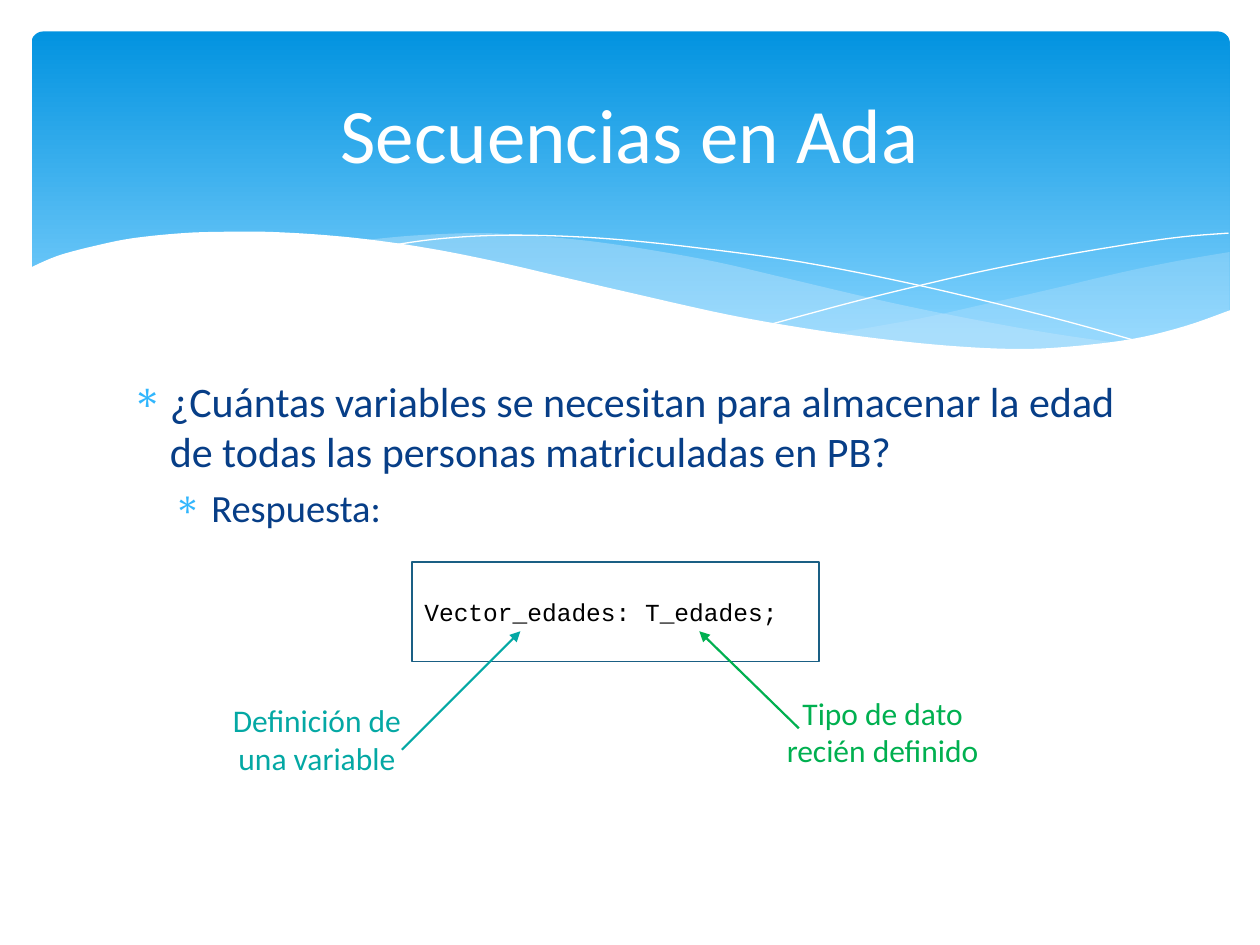
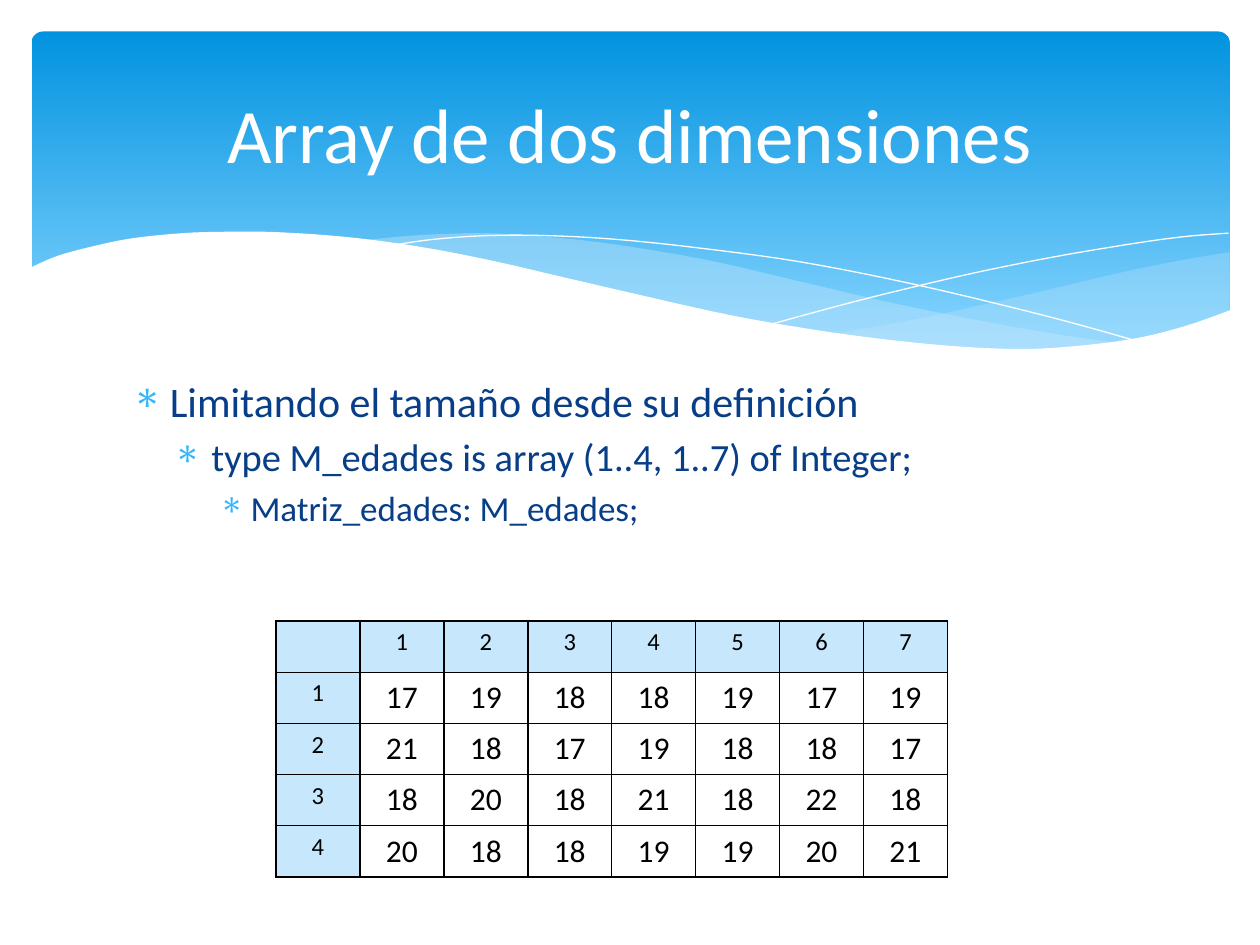
from dataclasses import dataclass

from lxml import etree
from pptx import Presentation
from pptx.dml.color import RGBColor
from pptx.enum.shapes import MSO_CONNECTOR, MSO_SHAPE
from pptx.enum.text import MSO_ANCHOR, PP_ALIGN
from pptx.oxml import parse_xml
from pptx.oxml.ns import nsdecls, qn
from pptx.util import Inches, Pt

STRAIGHT = MSO_CONNECTOR.STRAIGHT
RECT, ROUND_RECT = MSO_SHAPE.RECTANGLE, MSO_SHAPE.ROUNDED_RECTANGLE
TOP, MIDDLE = MSO_ANCHOR.TOP, MSO_ANCHOR.MIDDLE
LEFT, CENTER = PP_ALIGN.LEFT, PP_ALIGN.CENTER


@dataclass(frozen=True)
class Theme:
    font: str = "Calibri"
    code_font: str = "Courier New"
    white: str = "FFFFFF"
    black: str = "000000"
    band_top: str = "0293E0"
    band_bottom: str = "83D3FE"
    pale: str = "C6E7FC"
    body: str = "073E87"
    bullet: str = "31B6FD"
    box_line: str = "1A5F84"
    green: str = "00B050"
    teal: str = "04A8A4"
    title_size: int = 44
    level_sizes: tuple = (24, 22, 20)
    note_size: int = 18
    code_size: int = 14


T = Theme()

SEQUENCES = {
    "title": "Secuencias en Ada",
    "bullets": [
        (0, "¿Cuántas variables se necesitan para almacenar la edad de todas las personas matriculadas en PB?"),
        (1, "Respuesta:"),
    ],
    "code": "Vector_edades: T_edades;",
    "callouts": [
        {"text": "Tipo de dato recién definido", "box": (5.94, 5.48, 2.13, 0.65),
         "arrow": (6.34, 5.78, 5.55, 5.01), "color": T.green},
        {"text": "Definición de una variable", "box": (1.69, 5.54, 1.65, 0.65),
         "arrow": (3.19, 5.95, 4.13, 5.01), "color": T.teal},
    ],
}

MATRIX = {
    "title": "Array de dos dimensiones",
    "bullets": [
        (0, "Limitando el tamaño desde su definición"),
        (1, "type M_edades is array (1..4, 1..7) of Integer;"),
        (2, "Matriz_edades: M_edades;"),
    ],
    "ages": [
        (17, 19, 18, 18, 19, 17, 19),
        (21, 18, 17, 19, 18, 18, 17),
        (18, 20, 18, 21, 18, 22, 18),
        (20, 18, 18, 19, 19, 20, 21),
    ],
}

LEVEL_INDENTS = [(0.3, -0.3), (0.63, -0.3), (0.94, -0.25)]

WAVES = [
    {"curves": [
        [(9.76, 2), (9.35, 2.07), (8.91, 2.16), (8.32, 2.3), (7.79, 2.42), (7.29, 2.53), (6.61, 2.65)],
        [(6.61, 2.65), (7.05, 2.71), (7.57, 2.76), (8.14, 2.78), (8.63, 2.75), (9.13, 2.67), (9.76, 2.47)],
    ], "fill": T.pale, "alpha": 29},
    {"curves": [
        [(8.93, 2.73), (8.37, 2.65), (7.75, 2.54), (7.06, 2.4), (6.29, 2.22), (5.69, 2.08),
         (5.14, 1.98), (4.65, 1.91), (4.2, 1.87), (3.8, 1.85), (3.28, 1.87), (2.86, 1.91)],
        [(2.86, 1.91), (3.42, 1.99), (4.04, 2.11), (4.49, 2.22), (5.3, 2.4), (6.01, 2.55),
         (6.65, 2.66), (7.22, 2.74), (7.73, 2.77), (8.18, 2.78), (8.57, 2.77), (8.93, 2.73)],
    ], "fill": T.pale, "alpha": 40},
    {"curves": [
        [(3.09, 1.95), (3.44, 1.9), (3.87, 1.87), (4.33, 1.87), (4.89, 1.9), (5.56, 1.97),
         (6.36, 2.08), (7.27, 2.26), (8.31, 2.51), (9.07, 2.72)],
    ]},
    {"curves": [
        [(6.13, 2.57), (6.72, 2.41), (7.2, 2.29), (7.76, 2.16), (8.36, 2.04), (8.95, 1.94),
         (9.38, 1.88), (9.75, 1.85)],
    ]},
    {"curves": [
        [(9.77, 2.46), (9.4, 2.59), (8.99, 2.69), (8.5, 2.75), (8.09, 2.77), (7.61, 2.75),
         (7.08, 2.7), (6.48, 2.62), (5.79, 2.5), (5.03, 2.33), (4.47, 2.2), (3.91, 2.07),
         (3.4, 1.97), (2.92, 1.9), (2.5, 1.86), (2.11, 1.84), (1.77, 1.84), (1.46, 1.85),
         (1.06, 1.89), (0.76, 1.95), (0.46, 2.03), (0.23, 2.13)],
        [(0.23, 3.29), (9.77, 3.29)],
    ], "fill": T.white, "alpha": 100},
]


def rgb(color):
    return RGBColor.from_string(color)


def box(*lengths):
    return [Inches(v) for v in lengths]


def smooth(knots, steps=5):
    ends = [knots[0], *knots, knots[-1]]
    points = [knots[0]]
    for a, b, c, d in zip(ends, ends[1:], ends[2:], ends[3:]):
        for i in range(1, steps + 1):
            t = i / steps
            points.append(tuple(
                q + t / 2 * (s - p + t * (2 * p - 5 * q + 4 * s - u + t * (3 * (q - s) + u - p)))
                for p, q, s, u in zip(a, b, c, d)))
    return points


def format_run(r, text, size, color, font=T.font):
    r.text = text
    for name, value in {"name": font, "size": Pt(size)}.items():
        setattr(r.font, name, value)
    r.font.color.rgb = rgb(color)


def set_frame(tf, anchor):
    margins = {"margin_left": 0.1, "margin_right": 0.1, "margin_top": 0.05, "margin_bottom": 0.05}
    for name, value in margins.items():
        setattr(tf, name, Inches(value))
    tf.word_wrap = True
    tf.vertical_anchor = anchor


def add_text(s, place, text, size, color):
    tf = s.shapes.add_textbox(*box(*place)).text_frame
    set_frame(tf, MIDDLE)
    p = tf.paragraphs[0]
    p.alignment = CENTER
    format_run(p.add_run(), text, size, color)


def add_band(s):
    sp = s.shapes.add_shape(ROUND_RECT, *box(0.25, 0.25, 9.51, 2.7))
    sp.adjustments[0] = 0.034
    sp.shadow.inherit = False
    sp.line.fill.background()
    sp.fill.gradient()
    sp.fill.gradient_angle = 270
    stops = [(0, T.band_top), (0.9, T.band_bottom)]
    for stop, (position, color) in zip(sp.fill.gradient_stops, stops):
        stop.position = position
        stop.color.rgb = rgb(color)


def add_wave(s, wave):
    points = [box(*pt) for knots in wave["curves"] for pt in smooth(knots)]
    closed = "fill" in wave
    builder = s.shapes.build_freeform(*points[0])
    builder.add_line_segments(points[1:], close=closed)
    sp = builder.convert_to_shape()
    sp.shadow.inherit = False
    if closed:
        sp.line.fill.background()
        sp.fill.solid()
        sp.fill.fore_color.rgb = rgb(wave["fill"])
        if wave["alpha"] < 100:
            color = next(sp.fill._xPr.iter(qn("a:srgbClr")))
            etree.SubElement(color, qn("a:alpha"), val=str(wave["alpha"] * 1000))
    else:
        sp.fill.background()
        sp.line.color.rgb = rgb(T.white)
        sp.line.width = Pt(0)


def add_bullets(s, bullets):
    tf = s.shapes.add_textbox(*box(0.95, 2.93, 8.1, 3.77)).text_frame
    set_frame(tf, TOP)
    for i, (level, text) in enumerate(bullets):
        p = tf.add_paragraph() if i else tf.paragraphs[0]
        p.level = level
        format_run(p.add_run(), text, T.level_sizes[level], T.body)
        pPr = p._p.get_or_add_pPr()
        for name, value in zip(("marL", "indent"), LEVEL_INDENTS[level]):
            pPr.set(name, str(Inches(value)))
        for xml in (
            '<a:spcBef {}><a:spcPct val="20000"/></a:spcBef>',
            '<a:buClr {}><a:srgbClr val="' + T.bullet + '"/></a:buClr>',
            '<a:buFont {} typeface="Symbol"/>',
            '<a:buChar {} char="∗"/>',
        ):
            pPr.append(parse_xml(xml.format(nsdecls("a"))))


def add_code_box(s, code):
    sp = s.shapes.add_shape(RECT, *box(3.27, 4.46, 3.23, 0.79))
    sp.shadow.inherit = False
    sp.fill.background()
    sp.line.color.rgb = rgb(T.box_line)
    sp.line.width = Pt(0.75)
    set_frame(sp.text_frame, MIDDLE)
    p = sp.text_frame.paragraphs[0]
    p.alignment = LEFT
    format_run(p.add_run(), code, T.code_size, T.black, T.code_font)


def add_callout(s, callout):
    add_text(s, callout["box"], callout["text"], T.note_size, callout["color"])
    cx = s.shapes.add_connector(STRAIGHT, *box(*callout["arrow"]))
    cx.line.color.rgb = rgb(callout["color"])
    cx.line.width = Pt(1.25)
    etree.SubElement(cx.line._get_or_add_ln(), qn("a:tailEnd"), type="triangle")
    etree.SubElement(cx._element.spPr, qn("a:effectLst"))


def add_matrix(s, ages):
    header = ("", *range(1, len(ages[0]) + 1))
    rows = [header] + [(i, *row) for i, row in enumerate(ages, 1)]
    place = box(2.19, 4.93, 5.33, 2.03)
    table = s.shapes.add_table(len(rows), len(header), *place).table
    table.first_row = table.horz_banding = False
    for i, row in enumerate(rows):
        for j, value in enumerate(row):
            is_header = i == 0 or j == 0
            cell = table.cell(i, j)
            tcPr = cell._tc.get_or_add_tcPr()
            for side in "LRTB":
                tcPr.append(parse_xml(
                    f'<a:ln{side} {nsdecls("a")} w="{Pt(1)}"><a:solidFill>'
                    f'<a:srgbClr val="{T.black}"/></a:solidFill></a:ln{side}>'))
            if is_header:
                cell.fill.solid()
                cell.fill.fore_color.rgb = rgb(T.pale)
            else:
                cell.fill.background()
            if value:
                p = cell.text_frame.paragraphs[0]
                p.alignment = CENTER
                size = T.code_size if is_header else T.note_size
                format_run(p.add_run(), str(value), size, T.black)


def add_slide(prs, content):
    s = prs.slides.add_slide(prs.slide_layouts[6])
    add_band(s)
    for wave in WAVES:
        add_wave(s, wave)
    add_bullets(s, content["bullets"])
    add_text(s, (0.5, 0.37, 9, 1.37), content["title"], T.title_size, T.white)
    return s


def main():
    prs = Presentation()
    prs.slide_width, prs.slide_height = box(10, 7.5)
    s = add_slide(prs, SEQUENCES)
    add_code_box(s, SEQUENCES["code"])
    for callout in SEQUENCES["callouts"]:
        add_callout(s, callout)
    s = add_slide(prs, MATRIX)
    add_matrix(s, MATRIX["ages"])
    prs.save("out.pptx")


if __name__ == "__main__":
    main()
